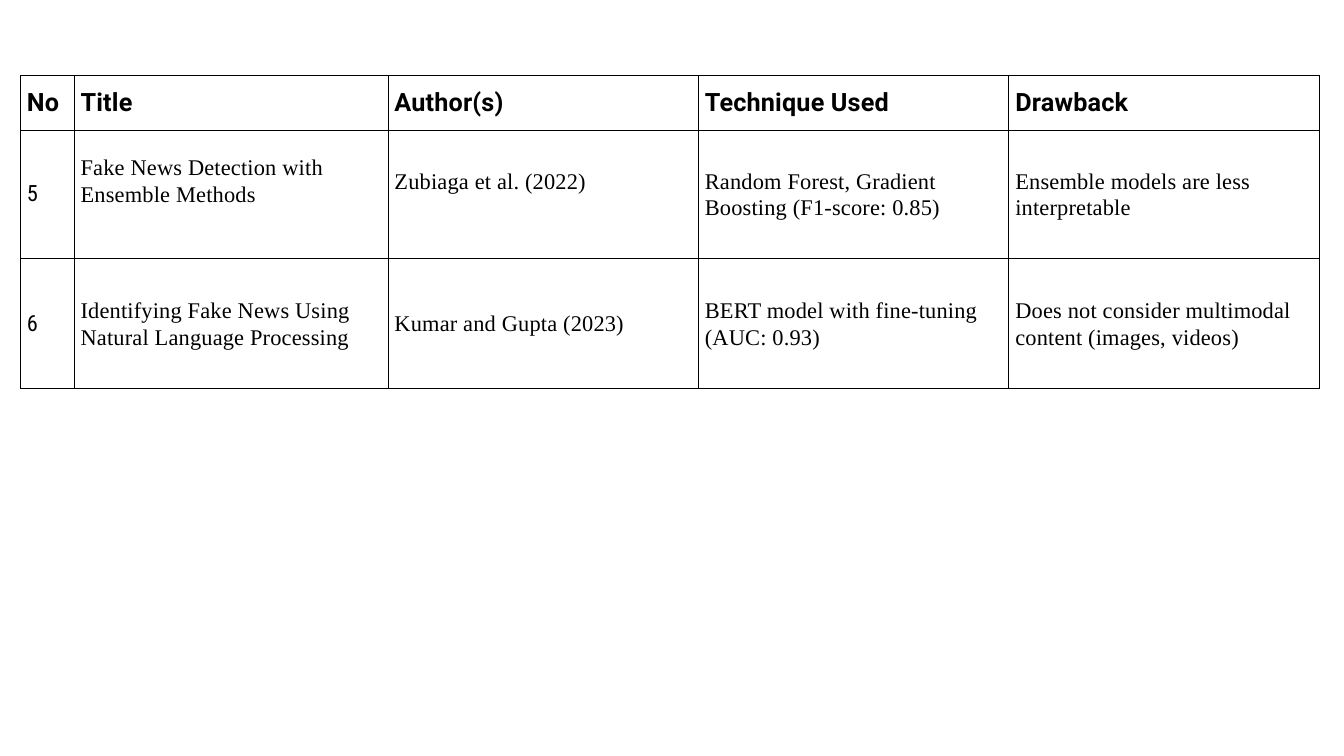
from dataclasses import dataclass

from lxml.etree import SubElement
from pptx import Presentation
from pptx.dml.color import RGBColor
from pptx.enum.text import MSO_ANCHOR, PP_ALIGN
from pptx.oxml.ns import qn
from pptx.table import _Cell
from pptx.util import Inches, Pt


@dataclass(frozen=True)
class TextStyle:
    font: str
    size: float
    line_spacing: float
    bold: bool = False


@dataclass(frozen=True)
class Theme:
    ink: str = "000000"
    border_width: float = 0.37
    letter_spacing: float = 0.2
    inset: float = 0.1
    header: TextStyle = TextStyle("Roboto", 27, 32.4, True)
    number: TextStyle = TextStyle("Roboto Condensed", 24, 28.8)
    body: TextStyle = TextStyle("Times New Roman", 24, 28.8)


@dataclass(frozen=True)
class Entry:
    text: str
    lift: float = 0  # extra bottom inset, raising the centred text


THEME = Theme()
LINE_LIFT = 0.4
COLUMN_WIDTHS = [0.8, 4.67, 4.62, 4.62, 4.62]
ROW_HEIGHTS = [0.81, 1.91, 1.94]
ROWS = [
    [Entry("No"), Entry("Title"), Entry("Author(s)"),
     Entry("Technique Used"), Entry("Drawback")],
    [Entry("5"),
     Entry("Fake News Detection with Ensemble Methods", LINE_LIFT),
     Entry("Zubiaga et al. (2022)", LINE_LIFT),
     Entry("Random Forest, Gradient Boosting (F1-score: 0.85)"),
     Entry("Ensemble models are less interpretable")],
    [Entry("6"),
     Entry("Identifying Fake News Using Natural Language Processing"),
     Entry("Kumar and Gupta (2023)"),
     Entry("BERT model with fine-tuning (AUC: 0.93)"),
     Entry("Does not consider multimodal content (images, videos)")],
]


def add_borders(cell: _Cell) -> None:
    properties = cell._tc.get_or_add_tcPr()
    for position, side in enumerate(("lnL", "lnR", "lnT", "lnB")):
        line = SubElement(properties, qn(f"a:{side}"), w=str(Pt(THEME.border_width)))
        fill = SubElement(line, qn("a:solidFill"))
        SubElement(fill, qn("a:srgbClr"), val=THEME.ink)
        # Borders come before the cell fill
        properties.insert(position, line)


def fill_cell(cell: _Cell, entry: Entry, style: TextStyle) -> None:
    cell.fill.background()
    cell.vertical_anchor = MSO_ANCHOR.MIDDLE
    cell.margin_left = cell.margin_right = cell.margin_top = Inches(THEME.inset)
    cell.margin_bottom = Inches(THEME.inset + entry.lift)
    add_borders(cell)

    paragraph = cell.text_frame.paragraphs[0]
    paragraph.alignment = PP_ALIGN.LEFT
    paragraph.line_spacing = Pt(style.line_spacing)
    run = paragraph.add_run()
    run.text = entry.text
    run.font.name = style.font
    run.font.size = Pt(style.size)
    run.font.bold = style.bold
    run.font.color.rgb = RGBColor.from_string(THEME.ink)
    run.font._element.set("spc", str(round(THEME.letter_spacing * 100)))


def style_for(row: int, column: int) -> TextStyle:
    if row == 0:
        return THEME.header
    return THEME.number if column == 0 else THEME.body


def main() -> None:
    presentation = Presentation()
    presentation.slide_width = Inches(20)
    presentation.slide_height = Inches(11.25)
    slide = presentation.slides.add_slide(presentation.slide_layouts[6])

    # Literature table
    shape = slide.shapes.add_table(
        len(ROW_HEIGHTS), len(COLUMN_WIDTHS), Inches(0.3), Inches(1.12),
        Inches(sum(COLUMN_WIDTHS)), Inches(sum(ROW_HEIGHTS)))
    table = shape.table
    table.first_row = table.horz_banding = False
    for column, width in zip(table.columns, COLUMN_WIDTHS):
        column.width = Inches(width)
    for row, height in zip(table.rows, ROW_HEIGHTS):
        row.height = Inches(height)

    # Cell contents
    for row_index, entries in enumerate(ROWS):
        for column_index, entry in enumerate(entries):
            fill_cell(table.cell(row_index, column_index), entry,
                      style_for(row_index, column_index))

    presentation.save("out.pptx")


if __name__ == "__main__":
    main()
